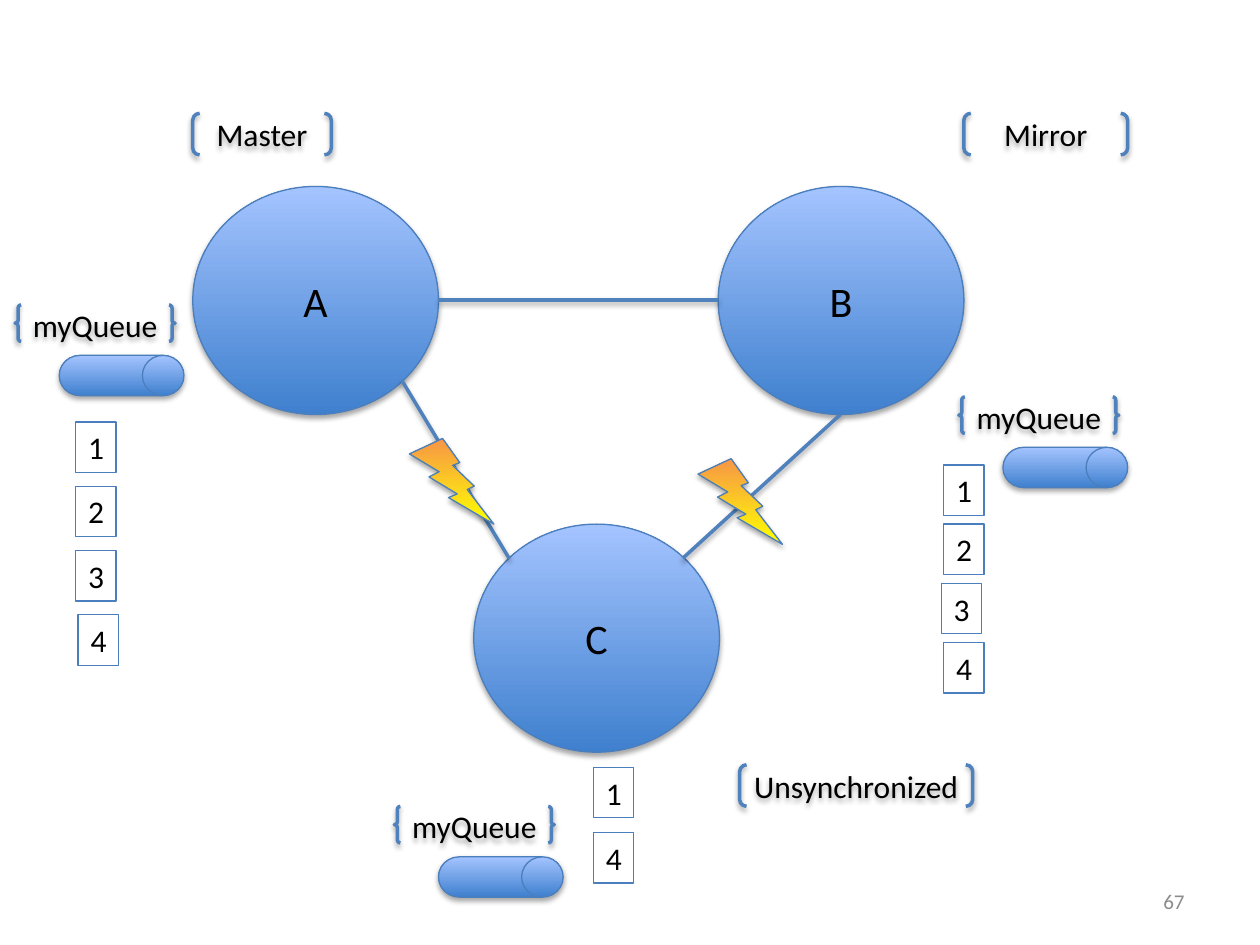
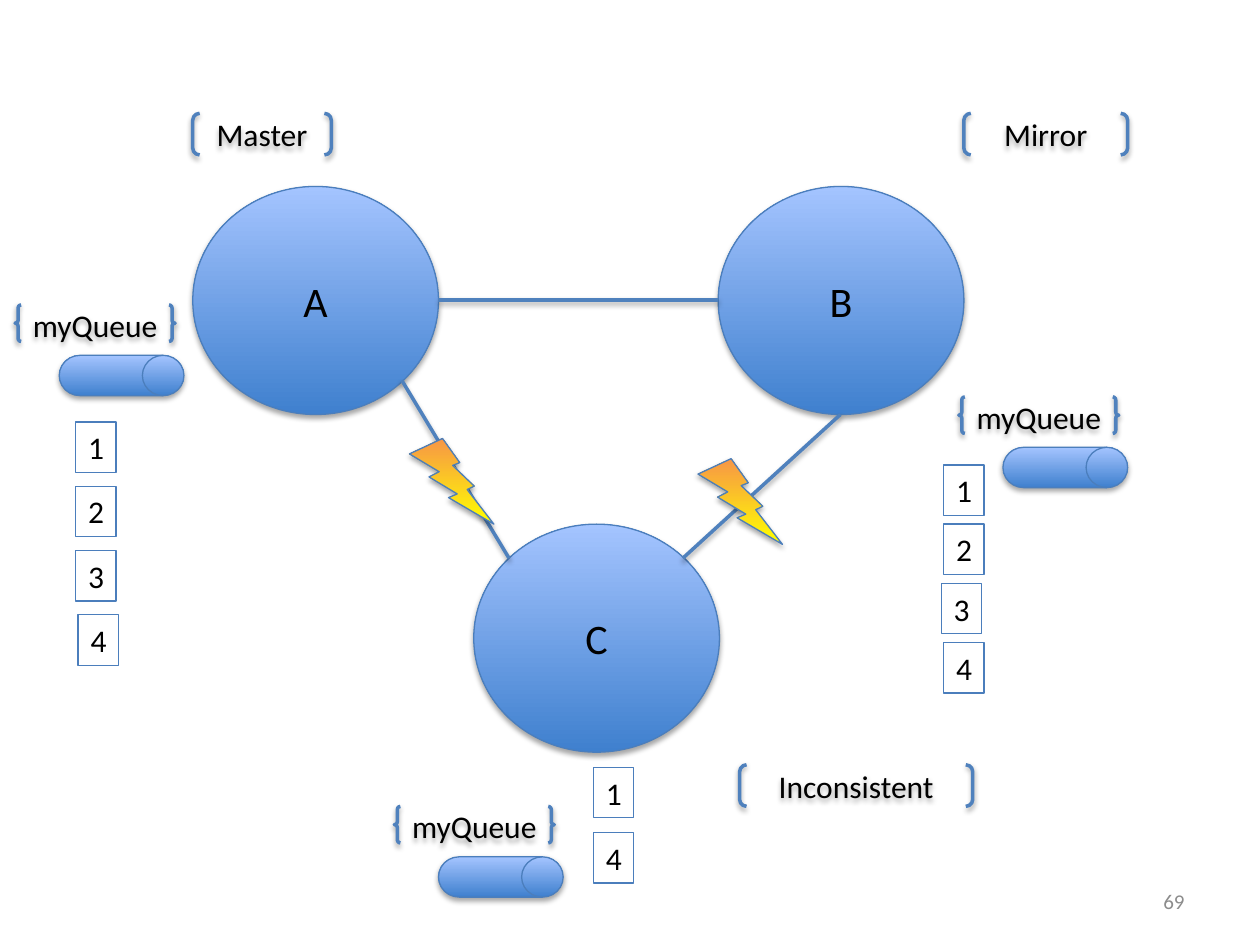
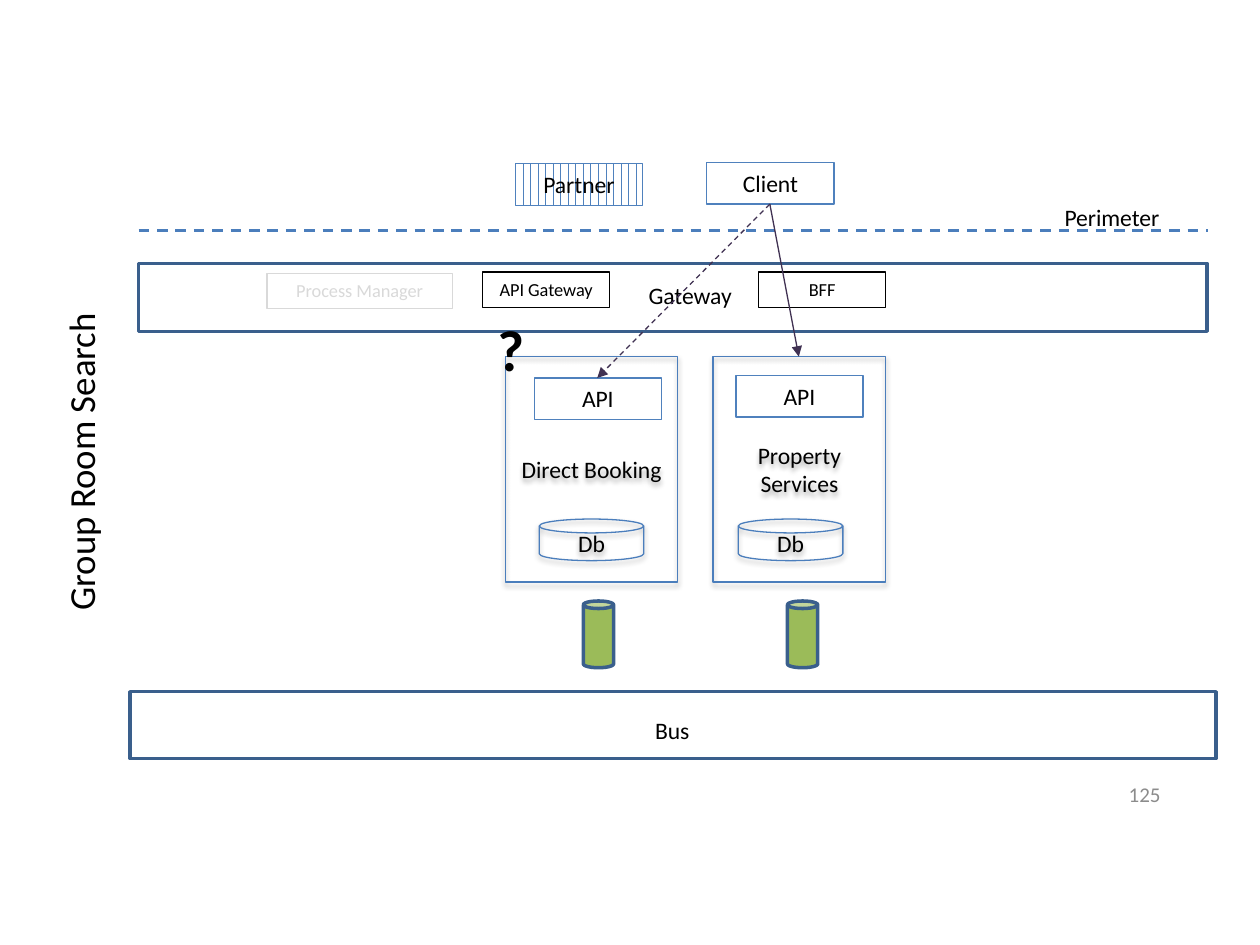
from lxml import etree
from pptx import Presentation
from pptx.dml.color import RGBColor
from pptx.enum import dml, shapes, text
from pptx.oxml.ns import qn
from pptx.util import Inches, Pt

SHAPE = shapes.MSO_SHAPE
ALIGN = text.PP_ALIGN
TOP, MIDDLE = text.MSO_ANCHOR.TOP, text.MSO_ANCHOR.MIDDLE

FONT = "Calibri"
BLACK = RGBColor(0x00, 0x00, 0x00)
WHITE = RGBColor(0xFF, 0xFF, 0xFF)
GREY = RGBColor(0x8C, 0x8C, 0x8C)
FADED = RGBColor(0xD9, 0xD9, 0xD9)
BLUE = RGBColor(0x4F, 0x81, 0xBD)
EDGE = RGBColor(0x4B, 0x7E, 0xBC)
NAVY = RGBColor(0x3A, 0x5F, 0x8C)
PURPLE = RGBColor(0x40, 0x31, 0x52)
GREEN = RGBColor(0x9B, 0xBB, 0x59)
BLUE_FADE = (RGBColor(0x3F, 0x80, 0xCE), RGBColor(0xA4, 0xC4, 0xFF))
FIRE_FADE = (RGBColor(0xFF, 0xFF, 0x00), RGBColor(0xF7, 0x96, 0x46))

NODE_W, NODE_H = 1.95, 1.81
TILE_W, TILE_H = 0.32, 0.4
LABEL_W, LABEL_H = 1.01, 0.33
BODY, SMALL = 13.5, 10.5


def set_effects(shape, shadow):
    """Close the shape properties with a soft downward shadow, or with none."""
    effects = etree.SubElement(shape._element.spPr, qn("a:effectLst"))
    if shadow:
        outer = etree.SubElement(effects, qn("a:outerShdw"), blurRad=str(Pt(3.1)),
                                 dist=str(Pt(1.8)), dir="5400000", rotWithShape="0")
        color = etree.SubElement(outer, qn("a:srgbClr"), val=str(BLACK))
        etree.SubElement(color, qn("a:alpha"), val="35000")


def write(sp, words, size, color=BLACK, align=ALIGN.CENTER, anchor=MIDDLE,
          bold=False, wrap=True):
    tf = sp.text_frame
    tf.word_wrap = wrap
    tf.vertical_anchor = anchor
    p = tf.paragraphs[0]
    p.alignment = align
    r = p.add_run()
    r.text = words
    r.font.name, r.font.size, r.font.bold = FONT, Pt(size), bold
    r.font.color.rgb = color


def add_shape(s, kind, box, line=EDGE, width=0.75, fade=None, fill=None, shadow=False):
    sp = s.shapes.add_shape(kind, *map(Inches, box))
    if fade:
        sp.fill.gradient()
        sp.fill.gradient_angle = 90
        for stop, color in zip(sp.fill.gradient_stops, fade):
            stop.color.rgb = color
    elif fill:
        sp.fill.solid()
        sp.fill.fore_color.rgb = fill
    else:
        sp.fill.background()
    sp.line.color.rgb = line
    sp.line.width = Pt(width)
    set_effects(sp, shadow)
    return sp


def add_text(s, box, words, size, **style):
    sp = s.shapes.add_textbox(*map(Inches, box))
    write(sp, words, size, **style)
    return sp


def add_line(s, start, end, color=BLUE, width=2, dashed=False, arrow=False, shadow=False):
    c = s.shapes.add_connector(shapes.MSO_CONNECTOR.STRAIGHT,
                               *map(Inches, (*start, *end)))
    c.line.color.rgb = color
    c.line.width = Pt(width)
    if dashed:
        c.line.dash_style = dml.MSO_LINE.DASH
    if arrow:
        etree.SubElement(c._element.spPr.find(qn("a:ln")), qn("a:tailEnd"), type="triangle")
    set_effects(c, shadow)


def page_number(s, box, number):
    add_text(s, box, number, 12, color=GREY, align=ALIGN.RIGHT)


def node(s, x, y, name):
    sp = add_shape(s, SHAPE.OVAL, (x, y, NODE_W, NODE_H), fade=BLUE_FADE, shadow=True)
    write(sp, name, 24)


def bracketed(s, kind, box, words):
    sp = add_shape(s, kind, box, line=BLUE, width=2, shadow=True)
    sp.text_frame.margin_left = sp.text_frame.margin_right = 0
    write(sp, words, 18)


def queue(s, x, y):
    add_shape(s, SHAPE.FLOWCHART_DIRECT_ACCESS_STORAGE, (x + 0.35, y + 0.4, 0.99, 0.32),
              fade=BLUE_FADE, shadow=True)
    bracketed(s, SHAPE.DOUBLE_BRACE, (x, y, 1.27, 0.29), "myQueue")


def message_column(s, top, pitch, messages):
    """Stack numbered tiles; messages holds (number, left) pairs."""
    for row, (number, x) in enumerate(messages):
        sp = add_shape(s, SHAPE.RECTANGLE, (x, top + row * pitch, TILE_W, TILE_H))
        write(sp, number, 18, align=ALIGN.LEFT, anchor=TOP)


def cluster_slide(s, c_state, number):
    """Three mirrored nodes where C has lost its links to A and B."""
    page_number(s, (7.17, 6.95, 2.33, 0.4), number)
    for name, x, y in (("A", 1.53, 1.48), ("B", 5.7, 1.48), ("C", 3.76, 4.16)):
        node(s, x, y, name)
    for words, x, y, w in (("Master", 1.53, 0.9, 1.1), ("Mirror", 7.65, 0.9, 1.3),
                           (c_state, 5.87, 6.07, 1.85)):
        bracketed(s, SHAPE.DOUBLE_BRACKET, (x, y, w, 0.33), words)
    for x, y in ((0.12, 2.42), (3.13, 6.4), (7.61, 3.15)):
        queue(s, x, y)
    for start, end in (((4.04, 4.43), (3.19, 3.02)), ((5.42, 4.43), (6.67, 3.29)),
                       ((3.48, 2.38), (5.7, 2.38))):
        add_line(s, start, end, shadow=True)
    for x, y in ((5.54, 3.64), (3.25, 3.48)):
        add_shape(s, SHAPE.LIGHTNING_BOLT, (x, y, 0.67, 0.68), fade=FIRE_FADE, shadow=True)
    message_column(s, 3.35, 0.51, zip("1234", (0.6, 0.6, 0.6, 0.62)))
    message_column(s, 3.69, 0.47, zip("1234", (7.49, 7.49, 7.47, 7.49)))
    message_column(s, 6.09, 0.52, zip("14", (4.71, 4.71)))


def label(s, x, y, words, w=LABEL_W, h=LABEL_H, line=BLUE, size=BODY, color=BLACK):
    sp = add_shape(s, SHAPE.RECTANGLE, (x, y, w, h), line=line)
    write(sp, words, size, color=color, anchor=TOP)
    return sp


def service(s, x, y, name, api, db_x, can_x):
    """Service box with its API, database and bus adapter, offset from its corner."""
    box = add_shape(s, SHAPE.RECTANGLE, (x, y, 1.37, 1.79), shadow=True)
    write(box, name, BODY)
    label(s, x + api[0], y + api[1], "API")
    db = add_shape(s, SHAPE.FLOWCHART_MAGNETIC_DISK, (x + db_x, y + 1.29, 0.83, 0.33),
                   shadow=True)
    write(db, "Db", BODY)
    add_shape(s, SHAPE.CAN, (x + can_x, y + 1.94, 0.24, 0.53),
              line=NAVY, width=2, fill=GREEN)


def bar(s, box, words, text_box):
    add_shape(s, SHAPE.RECTANGLE, box, line=NAVY, width=2)
    add_text(s, text_box, words, BODY, align=ALIGN.LEFT, anchor=TOP, wrap=False)


def callers(s):
    client = (6.11, 1.62)
    label(s, 5.61, 1.29, "Client")
    partner = label(s, 4.09, 1.3, "Partner")
    partner.fill.patterned()
    partner.fill.pattern = dml.MSO_PATTERN.DASHED_VERTICAL
    partner.fill.fore_color.rgb = BLUE
    partner.fill.back_color.rgb = WHITE
    add_line(s, (1.1, 1.83), (9.59, 1.83), color=EDGE, width=1.5, dashed=True)
    add_text(s, (8.24, 1.56, 1.17, LABEL_H), "Perimeter", BODY, anchor=TOP)
    add_line(s, client, (6.34, 2.83), PURPLE, 0.75, arrow=True)
    add_line(s, client, (4.74, 3), PURPLE, 0.75, dashed=True, arrow=True)


def gateway(s):
    bar(s, (1.1, 2.09, 8.48, 0.54), "Gateway", (5.05, 2.18, 0.87, 0.33))
    for words, x, y, w, color in (("API Gateway", 3.83, 2.16, LABEL_W, BLACK),
                                  ("BFF", 6.02, 2.16, LABEL_W, BLACK),
                                  ("Process Manager", 2.12, 2.17, 1.47, FADED)):
        label(s, x, y, words, w, 0.28, color, SMALL, color)


def room_search_slide(s, number):
    bar(s, (1.03, 5.49, 8.62, 0.53), "Bus", (5.1, 5.63, 0.48, 0.33))
    page_number(s, (7.06, 6.15, 2.25, 0.3), number)
    gateway(s)
    service(s, 4.01, 2.83, "Direct Booking", (0.23, 0.17), 0.27, 0.62)
    service(s, 5.66, 2.83, "Property Services", (0.18, 0.15), 0.2, 0.59)
    callers(s)
    heading = add_text(s, (-0.89, 3.44, 3.06, 0.45), "Group Room Search", 21, anchor=TOP)
    heading.rotation = 270
    add_text(s, (3.85, 2.44, 0.3, 0.66), "?", 33, align=ALIGN.LEFT, anchor=TOP, bold=True)


def main():
    prs = Presentation()
    prs.slide_width, prs.slide_height = Inches(10), Inches(7.5)
    blank = prs.slide_layouts[6]
    cluster_slide(prs.slides.add_slide(blank), "Unsynchronized", "67")
    cluster_slide(prs.slides.add_slide(blank), "Inconsistent", "69")
    room_search_slide(prs.slides.add_slide(blank), "125")
    prs.save("out.pptx")


if __name__ == "__main__":
    main()
